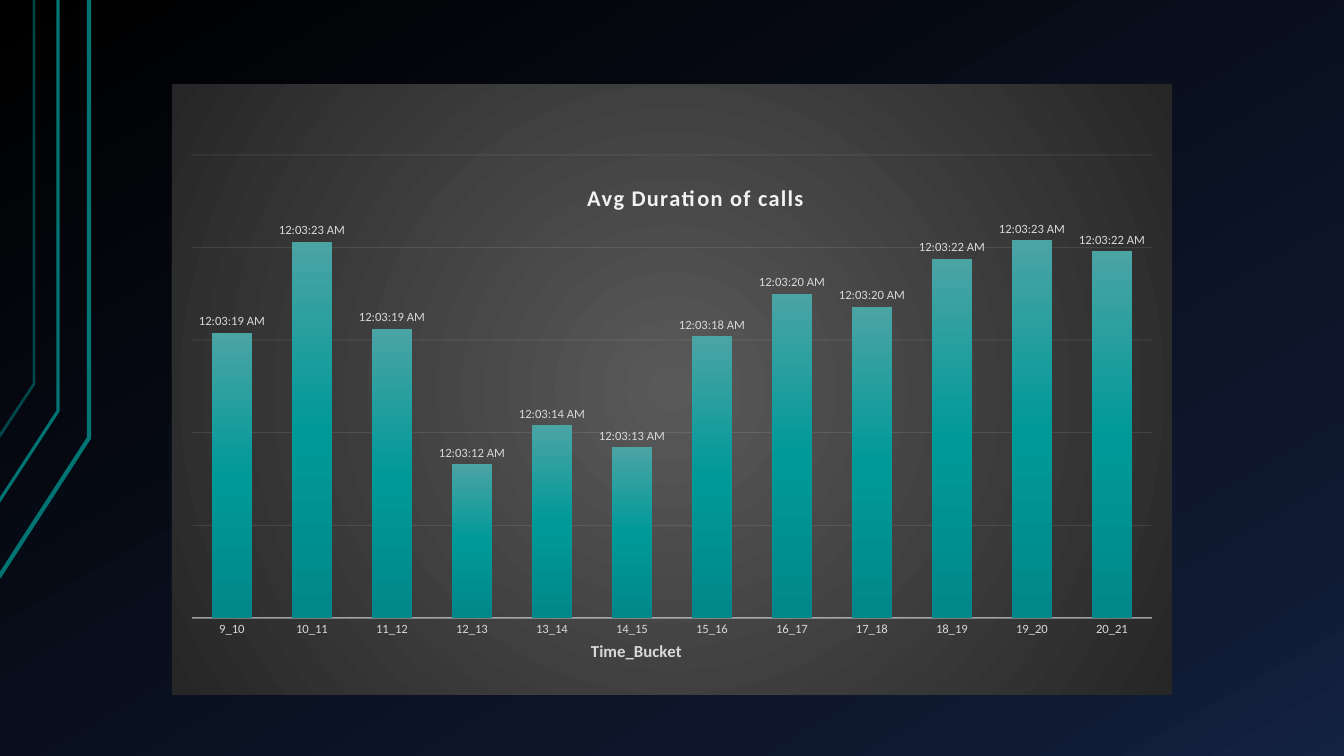
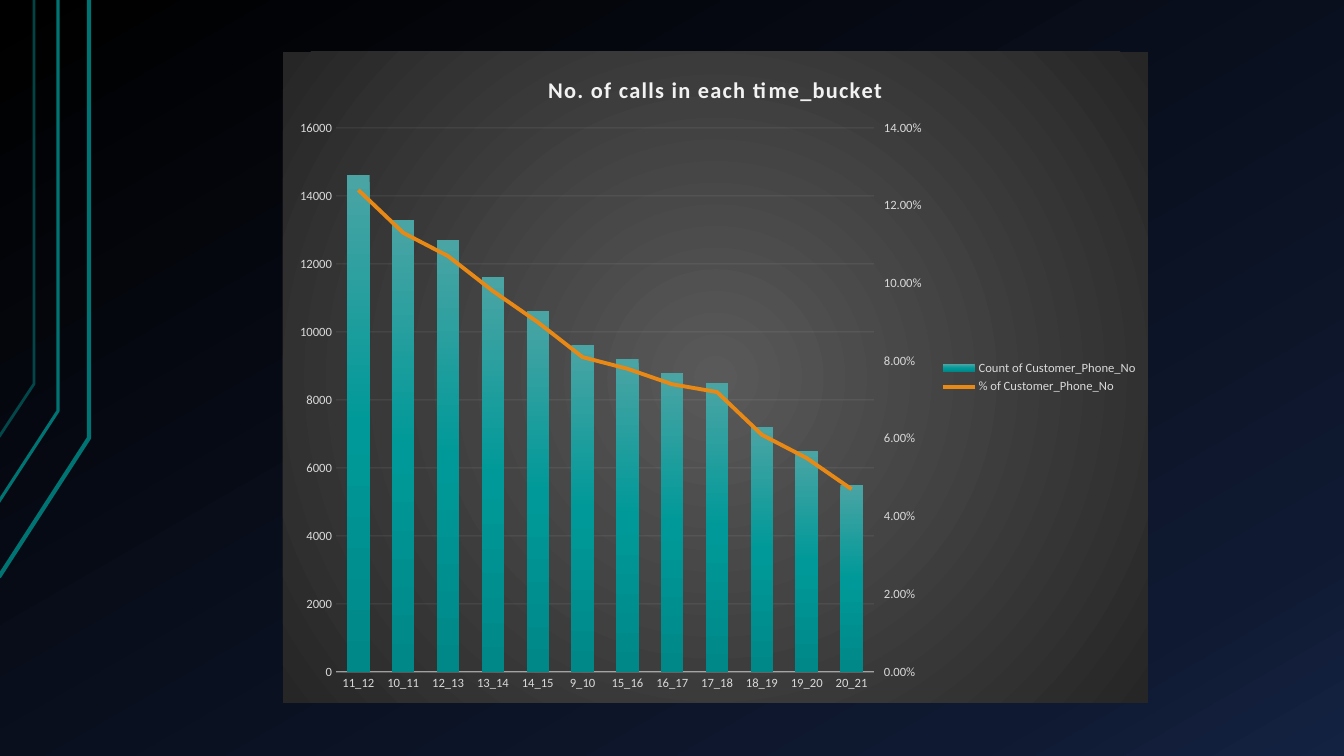
"""Builds two dark slides of call charts by time bucket."""
import dataclasses

import pptx
import pptx.chart.axis
import pptx.chart.data
import pptx.dml.color
import pptx.enum.chart
import pptx.oxml
import pptx.oxml.ns
import pptx.util

XL = pptx.enum.chart
PX = 914400 / 100.8


@dataclasses.dataclass(frozen=True)
class Theme:
    face: str = "Calibri"
    head: str = "F2F2F2"
    text: str = "D9D9D9"
    frame: str = "007373"
    trend: str = "E98915"
    back: tuple = ((0, "000000"), (85, "0F1931"), (100, "142242"))
    panel: tuple = ((0, "595959"), (100, "262626"))
    bar: tuple = ((0, "4BA4A4"), (50, "009999"), (100, "008888"))
    big: int = 16
    mid: int = 12
    small: int = 9


T = Theme()
CLOCK = r"[$-F400]h:mm:ss\ AM/PM"
RAILS = [
    ([(-1, 577), (89, 438), (89, 0)], 3, 100),
    ([(-2, 503), (58, 411), (58, 0)], 2.25, 100),
    ([(-1, 437), (34, 384), (34, 0)], 2, 60),
]
CALLS = {
    "title": "Avg Duration of calls",
    "box": (172, 84, 1000, 611),
    "plot": (192, 155, 960, 463),
    "cats": ["9_10", "10_11", "11_12", "12_13", "13_14", "14_15",
             "15_16", "16_17", "17_18", "18_19", "19_20", "20_21"],
    "series": [("Series 1", [
        0.002304, 0.002353, 0.002306, 0.002233, 0.002254, 0.002242,
        0.002302, 0.002325, 0.002318, 0.002344, 0.002354, 0.002348])],
    "scale": (0.00215, 0.0024, 0.00005),
    "format": CLOCK,
    "overlap": -24,
}
COUNTS = {
    "title": "No. of calls in each time_bucket",
    "box": (283, 52, 865, 651),
    "plot": (336, 128, 538, 544),
    "cats": ["11_12", "10_11", "12_13", "13_14", "14_15", "9_10",
             "15_16", "16_17", "17_18", "18_19", "19_20", "20_21"],
    "series": [
        ("Count of Customer_Phone_No", [
            14600, 13300, 12700, 11600, 10600, 9600,
            9200, 8800, 8500, 7200, 6500, 5500]),
        ("% of Customer_Phone_No", [
            0.124, 0.113, 0.107, 0.098, 0.09, 0.081,
            0.078, 0.074, 0.072, 0.061, 0.055, 0.047]),
    ],
    "scale": (0, 16000, 2000),
    "format": "0",
    "overlap": 0,
}
RIGHT = (0, 0.14, 0.02)


def px(num):
    return round(num * PX)


def rgb(code):
    return pptx.dml.color.RGBColor.from_string(code)


def node(text):
    space = pptx.oxml.ns.nsdecls("c", "a")
    cut = text.index(">")
    cut -= text[cut - 1] == "/"
    return pptx.oxml.parse_xml(f"{text[:cut]} {space}{text[cut:]}")


def blend(stops, angle=None):
    marks = "".join(
        f'<a:gs pos="{pos * 1000}"><a:srgbClr val="{code}"/></a:gs>'
        for pos, code in stops)
    if angle is None:
        way = ('<a:path path="circle"><a:fillToRect l="50000" t="50000" '
               'r="50000" b="50000"/></a:path>')
    else:
        way = f'<a:lin ang="{angle * 60000}" scaled="0"/>'
    return f'<a:gradFill rotWithShape="1"><a:gsLst>{marks}</a:gsLst>{way}</a:gradFill>'


def shade(host, where, stops, angle):
    old = host.xpath(where)[0]
    old.getparent().replace(old, node(blend(stops, angle)))


def fade(host, where, share):
    for tint in host.xpath(where):
        tint.append(node(f'<a:alpha val="{share * 1000}"/>'))


def style(font, size=T.small, color=T.text, bold=False):
    font.name, font.size, font.bold = T.face, pptx.util.Pt(size), bold
    font.color.rgb = rgb(color)


def write(frame, text, gap=0, **look):
    run = frame.paragraphs[0].add_run()
    run.text = text
    style(run.font, **look)
    run._r.get_or_add_rPr().set("spc", str(gap * 100))


def stroke(line, color, width):
    line.color.rgb = rgb(color)
    line.width = pptx.util.Pt(width)


def place(host, data, spot):
    """Sets a manual layout from slide positions."""
    left, top, wide, high = data["box"]
    parts = {"x": (spot[0] - left) / wide, "y": (spot[1] - top) / high}
    kind = ""
    if len(spot) == 4:
        parts.update(w=spot[2] / wide, h=spot[3] / high)
        kind = '<c:layoutTarget val="inner"/>'
    body = "".join(f'<c:{key} val="{num:.4f}"/>' for key, num in parts.items())
    for old in host.xpath("c:layout"):
        host.remove(old)
    host.insert(len(host.xpath("c:tx")), node(
        f'<c:layout><c:manualLayout>{kind}<c:xMode val="edge"/>'
        f'<c:yMode val="edge"/>{body}</c:manualLayout></c:layout>'))


def gauge(axis, limits, code):
    axis.minimum_scale, axis.maximum_scale, axis.major_unit = limits
    axis.tick_labels.number_format = code
    axis.tick_labels.number_format_is_linked = False
    style(axis.tick_labels.font)
    axis.format.line.fill.background()


def draw(deck, data):
    """Adds a slide with a column chart."""
    slide = deck.slides.add_slide(deck.slide_layouts[6])
    feed = pptx.chart.data.CategoryChartData()
    feed.categories = data["cats"]
    for name, vals in data["series"]:
        feed.add_series(name, vals)
    chart = slide.shapes.add_chart(
        XL.XL_CHART_TYPE.COLUMN_CLUSTERED, *map(px, data["box"]), feed).chart
    root = chart.element
    style(chart.font, size=10, color="FFFFFF")
    root.xpath("c:chart")[0].addnext(node(
        f"<c:spPr>{blend(T.panel)}<a:ln><a:noFill/></a:ln></c:spPr>"))
    chart.has_legend = False
    chart.has_title = True
    write(chart.chart_title.text_frame, data["title"], gap=1,
          size=T.big, color=T.head, bold=True)
    plot = chart.plots[0]
    plot.vary_by_categories = False
    plot.gap_width, plot.overlap = 100, data["overlap"]
    plot.series[0].format.fill.solid()
    shade(root, ".//c:ser/c:spPr/a:solidFill", T.bar, 90)
    cat, val = chart.category_axis, chart.value_axis
    style(cat.tick_labels.font)
    stroke(cat.format.line, T.head, 1)
    gauge(val, data["scale"], data["format"])
    for axis in (cat, val):
        axis.major_tick_mark = XL.XL_TICK_MARK.NONE
    stroke(val.major_gridlines.format.line, T.head, 0.75)
    fade(root, ".//c:catAx/c:spPr//a:srgbClr", 54)
    fade(root, ".//c:majorGridlines//a:srgbClr", 10)
    place(root.xpath("c:chart/c:plotArea")[0], data, data["plot"])
    return chart


def label(chart, data):
    """Adds bar labels and an axis title, and moves the titles."""
    chart.value_axis.visible = False
    plot = chart.plots[0]
    plot.has_data_labels = True
    tags = plot.data_labels
    tags.show_value = True
    tags.number_format, tags.number_format_is_linked = data["format"], False
    tags.position = XL.XL_LABEL_POSITION.OUTSIDE_END
    style(tags.font)
    write(chart.category_axis.axis_title.text_frame, "Time_Bucket",
          size=T.mid, bold=True)
    place(chart.element.xpath("c:chart/c:title")[0], data, (583, 179))
    place(chart.element.xpath(".//c:catAx/c:title")[0], data, (588, 637))


def trend(chart):
    """Turns the second series into a line on a right axis."""
    root = chart.element
    bars = root.xpath(".//c:barChart")[0]
    share = bars.xpath("c:ser")[1]
    for flag in share.xpath("c:invertIfNegative"):
        share.remove(flag)
    line = node(
        '<c:lineChart><c:grouping val="standard"/><c:varyColors val="0"/>'
        '<c:marker val="1"/><c:axId val="501"/><c:axId val="502"/></c:lineChart>')
    line.insert(2, share)
    bars.addnext(line)
    scale = '<c:scaling><c:orientation val="minMax"/></c:scaling>'
    base = node(
        f'<c:catAx><c:axId val="501"/>{scale}<c:delete val="1"/>'
        '<c:axPos val="b"/><c:crossAx val="502"/></c:catAx>')
    side = node(
        f'<c:valAx><c:axId val="502"/>{scale}<c:delete val="0"/>'
        '<c:axPos val="r"/><c:majorTickMark val="out"/>'
        '<c:tickLblPos val="nextTo"/><c:crossAx val="501"/>'
        '<c:crosses val="max"/></c:valAx>')
    last = root.xpath(".//c:plotArea/c:valAx")[-1]
    last.addnext(base)
    base.addnext(side)
    gauge(pptx.chart.axis.ValueAxis(side), RIGHT, "0.00%")
    curve = chart.plots[1].series[0]
    curve.smooth = False
    curve.marker.style = XL.XL_MARKER_STYLE.NONE
    stroke(curve.format.line, T.trend, 2.75)
    chart.has_legend = True
    chart.legend.position = XL.XL_LEGEND_POSITION.RIGHT
    chart.legend.include_in_layout = False
    style(chart.legend.font)


def dress(deck, slide):
    """Puts the backdrop and the rails on the master."""
    base = deck.slide_master
    base.background.fill.solid()
    shade(base.element, "p:cSld/p:bg/p:bgPr/a:solidFill", T.back, 60)
    for dots, width, share in RAILS:
        pen = slide.shapes.build_freeform(*dots[0], scale=PX)
        pen.add_line_segments(dots[1:], close=False)
        rail = pen.convert_to_shape()
        rail.fill.background()
        rail.shadow.inherit = False
        stroke(rail.line, T.frame, width)
        if share < 100:
            fade(rail.element, ".//a:ln//a:srgbClr", share)
        base.shapes.element.append(rail.element)


def main():
    deck = pptx.Presentation()
    deck.slide_width, deck.slide_height = px(1344), px(756)
    label(draw(deck, CALLS), CALLS)
    trend(draw(deck, COUNTS))
    dress(deck, deck.slides[0])
    deck.save("out.pptx")


if __name__ == "__main__":
    main()
